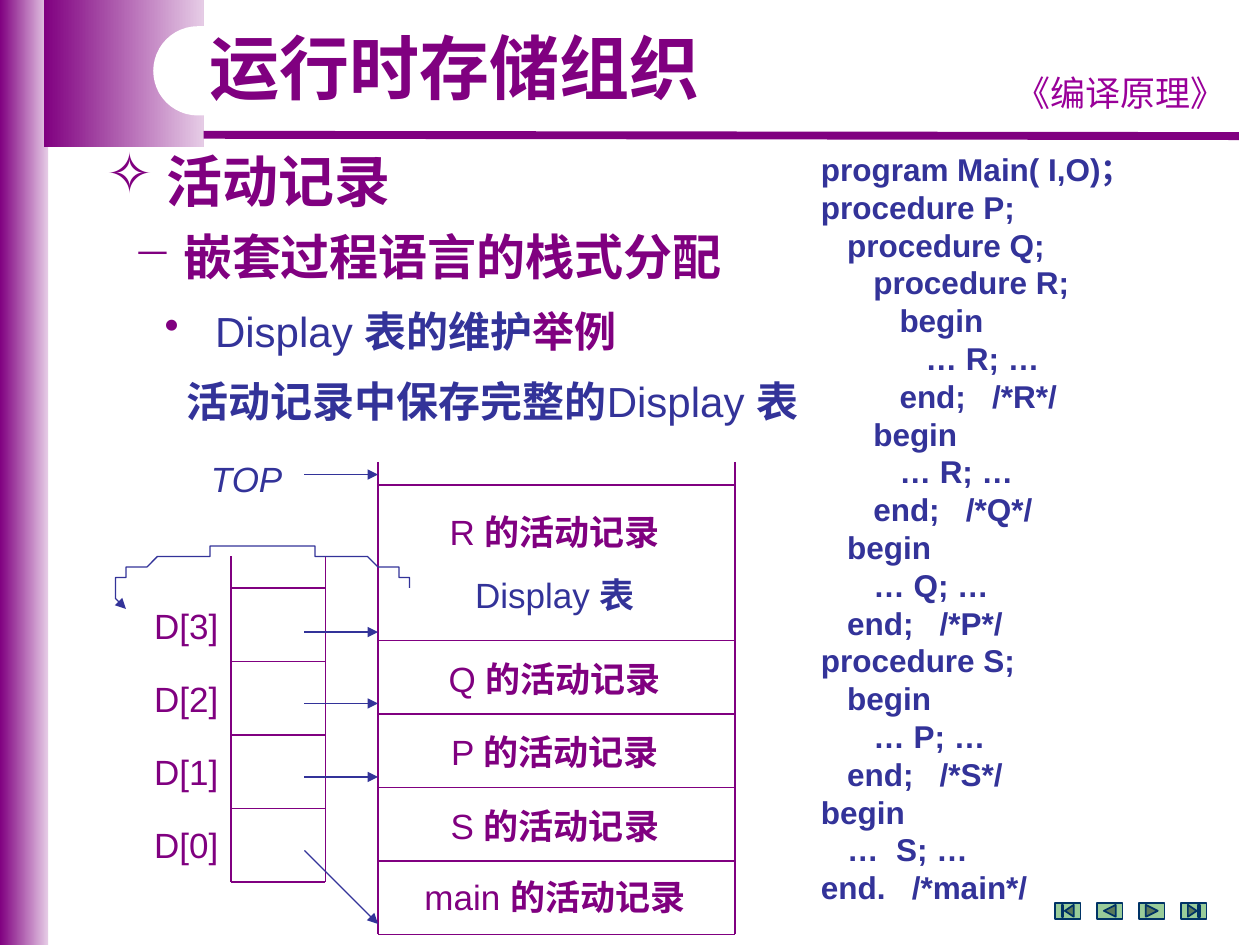
from lxml import etree
from pptx import Presentation
from pptx import util as u
from pptx.dml.color import RGBColor
from pptx.enum import shapes, text
from pptx.oxml import ns

COLORS = {"purple": "800080", "lilac": "E6CCE6", "violet": "990099",
          "navy": "333399", "green": "99CC99", "ink": "003366", "white": "FFFFFF"}
LATIN, CJK = "Arial", "Noto Sans CJK SC"
ROW = 7
STACK_LEFT, STACK_RIGHT, STACK_BOTTOM = 36, 70, 89
DISPLAY_LEFT, DISPLAY_RIGHT, DISPLAY_BOTTOM = 22, 31, 84

PROGRAM = """program Main( I,O)；
procedure P;
   procedure Q;
      procedure R;
         begin
            … R; …
         end;   /*R*/
      begin
         … R; …
      end;   /*Q*/
   begin
      … Q; …
   end;   /*P*/
procedure S;
   begin
      … P; …
   end;   /*S*/
begin
   …  S; …
end.   /*main*/"""


def grid(cells):
    return u.Inches(cells / 12)


def rgb(name):
    return RGBColor.from_string(COLORS[name])


def add_child(parent, tag, **attributes):
    return etree.SubElement(parent, ns.qn(tag), attributes)


def add_bullet(paragraph, symbol, margin, hang):
    properties = paragraph._p.get_or_add_pPr()
    properties.set("marL", str(grid(margin)))
    properties.set("indent", str(-grid(hang)))
    swatch = add_child(properties, "a:buClr")
    add_child(swatch, "a:srgbClr", val=COLORS["purple"])
    add_child(properties, "a:buChar", char=symbol)


def add_words(slide, place, lines, size=20, color="purple", align="LEFT", bold=False,
              italic=False, font=LATIN, bullet=None, margin=0, hang=0, spacing=1.2, wrap=True):
    box = slide.shapes.add_textbox(*map(grid, place))
    frame = box.text_frame
    frame.word_wrap = wrap
    for number, line in enumerate(lines):
        paragraph = frame.paragraphs[0] if number == 0 else frame.add_paragraph()
        if bullet:
            add_bullet(paragraph, bullet, margin, hang)
        paragraph.alignment = getattr(text.PP_ALIGN, align)
        paragraph.line_spacing = u.Pt(size * spacing)
        paragraph.font.size = u.Pt(size)
        for part in [line] if isinstance(line, str) else line:
            words, style = (part, {}) if isinstance(part, str) else part
            run = paragraph.add_run()
            run.text = words
            run.font.size = u.Pt(size)
            run.font.name = font
            run.font.bold = style.get("bold", bold)
            run.font.italic = italic
            run.font.color.rgb = rgb(style.get("color", color))
            add_child(run.font._element, "a:ea", typeface=CJK)


def strong(words, **style):
    return words, {"bold": True, **style}


def add_arrowhead(line):
    add_child(line._get_or_add_ln(), "a:headEnd", type="triangle")


def add_rule(slide, start, end, color="purple", width=0.75, arrow=False):
    rule = slide.shapes.add_connector(shapes.MSO_CONNECTOR.STRAIGHT,
                                      *map(grid, (*start, *end)))
    rule.line.color.rgb = rgb(color)
    rule.line.width = u.Pt(width)
    if arrow:
        add_arrowhead(rule.line)
    add_child(rule._element.spPr, "a:effectLst")


def add_block(slide, kind, place, fill=None, outline=None):
    block = slide.shapes.add_shape(kind, *map(grid, place))
    block.shadow.inherit = False
    if fill:
        block.fill.solid()
        block.fill.fore_color.rgb = rgb(fill)
    else:
        block.fill.gradient()
        block.fill.gradient_angle = 0
        for stop, color in zip(block.fill.gradient_stops, ("purple", "lilac")):
            stop.color.rgb = rgb(color)
    if outline:
        block.line.color.rgb = rgb(outline)
        block.line.width = u.Pt(1)
    else:
        block.line.fill.background()
    return block


def bezier(points, steps=24):
    for step in range(1, steps + 1):
        t = step / steps
        weights = ((1 - t) ** 3, 3 * t * (1 - t) ** 2, 3 * t * t * (1 - t), t ** 3)
        yield tuple(sum(w * p[axis] for w, p in zip(weights, points)) for axis in (0, 1))


def add_curved_arrow(slide, start, curves):
    builder = slide.shapes.build_freeform(*start, scale=grid(1))
    for curve in curves:
        builder.add_line_segments(list(bezier((start, *curve))), close=False)
        start = curve[-1]
    arc = builder.convert_to_shape()
    arc.shadow.inherit = False
    arc.fill.background()
    arc.line.color.rgb = rgb("navy")
    arc.line.width = u.Pt(0.75)
    add_arrowhead(arc.line)


def add_frame(slide):
    preset = shapes.MSO_SHAPE
    add_block(slide, preset.RECTANGLE, (0, 0, 4.6, 90))
    add_block(slide, preset.RECTANGLE, (4.2, 0, 15.2, 14))
    add_rule(slide, (19.4, 12.84), (118, 12.96), width=4.5)
    add_words(slide, (94.9, 6.2, 23.7, 5.2), ["《编译原理》"], color="violet", align="CENTER", font=CJK)
    notch = add_block(slide, preset.ROUNDED_RECTANGLE, (14.6, 2.5, 43.5, 8.5), "white")
    notch.adjustments[0] = 0.5
    buttons = (preset.ACTION_BUTTON_BEGINNING, preset.ACTION_BUTTON_BACK_OR_PREVIOUS,
               preset.ACTION_BUTTON_FORWARD_OR_NEXT, preset.ACTION_BUTTON_END)
    for column, button in enumerate(buttons):
        add_block(slide, button, (100.5 + 4 * column, 86, 2.4, 1.5), "green", "ink")


def add_headings(slide):
    add_words(slide, (18.8, 2.5, 49.7, 8.5), ["运行时存储组织"], size=40, bold=True, spacing=1.08)
    add_words(slide, (9, 13.4, 88, 7.6), [" 活动记录"], size=32, bold=True, bullet="✧")
    add_words(slide, (11.5, 21, 63.5, 6.5), [" 嵌套过程语言的栈式分配"], size=28, bold=True, bullet="−")
    add_words(slide, (11.5, 28.5, 63.5, 6),
              [["Display ", strong("表的维护"), strong("举例", color="purple")]],
              size=24, color="navy", bullet="•", margin=7.8, hang=4.8)
    add_words(slide, (16.5, 35.2, 60.8, 6),
              [[strong("活动记录中保存完整的"), "Display ", strong("表")]],
              size=24, color="navy", align="CENTER")


def add_stack(slide):
    for side in (STACK_LEFT, STACK_RIGHT):
        add_rule(slide, (side, 44), (side, STACK_BOTTOM))
    for y in (46.2, *(STACK_BOTTOM - ROW * row for row in range(5))):
        add_rule(slide, (STACK_LEFT, y), (STACK_RIGHT, y))
    records = {"R": 48, "Q": 62, "P": 69, "S": 76, "main": 82.8}
    for name, y in records.items():
        add_words(slide, (36.7, y, 32.3, 5.2), [[name + " ", strong("的活动记录")]], align="CENTER")
    add_words(slide, (36.7, 54, 32.3, 5.2), [["Display ", strong("表")]],
              color="navy", align="CENTER")


def add_display(slide):
    for side in (DISPLAY_LEFT, DISPLAY_RIGHT):
        add_rule(slide, (side, 53), (side, DISPLAY_BOTTOM))
    for row in range(5):
        y = DISPLAY_BOTTOM - ROW * row
        add_rule(slide, (DISPLAY_LEFT, y), (DISPLAY_RIGHT, y))
    for level in range(4):
        add_words(slide, (13.5, 77.8 - 6.93 * level, 8.5, 5.2), [f"D[{level}]"], wrap=False)
    add_words(slide, (18, 43, 11, 5.2), ["TOP"], color="navy", align="CENTER", italic=True)
    for tip, tail in ((45.2, 45.2), (60.2, 60.2), (67, 67), (74, 74), (88, 81)):
        add_rule(slide, (STACK_LEFT, tip), (29, tail), color="navy", arrow=True)
    add_curved_arrow(slide, (12.5, 58.2), (
        ((11.5, 57.6), (10.9, 57), (10.9, 56.3)),
        ((10.9, 54), (17.3, 52.2), (25, 52.2)),
        ((32.8, 52.2), (39, 54), (39, 56.3))))


def main():
    deck = Presentation()
    deck.slide_width, deck.slide_height = grid(120), grid(90)
    slide = deck.slides.add_slide(deck.slide_layouts[6])
    add_frame(slide)
    add_headings(slide)
    add_stack(slide)
    add_display(slide)
    add_words(slide, (77, 13.7, 33, 73.3), PROGRAM.split("\n"), size=18, color="navy", bold=True)
    deck.save("out.pptx")


if __name__ == "__main__":
    main()
